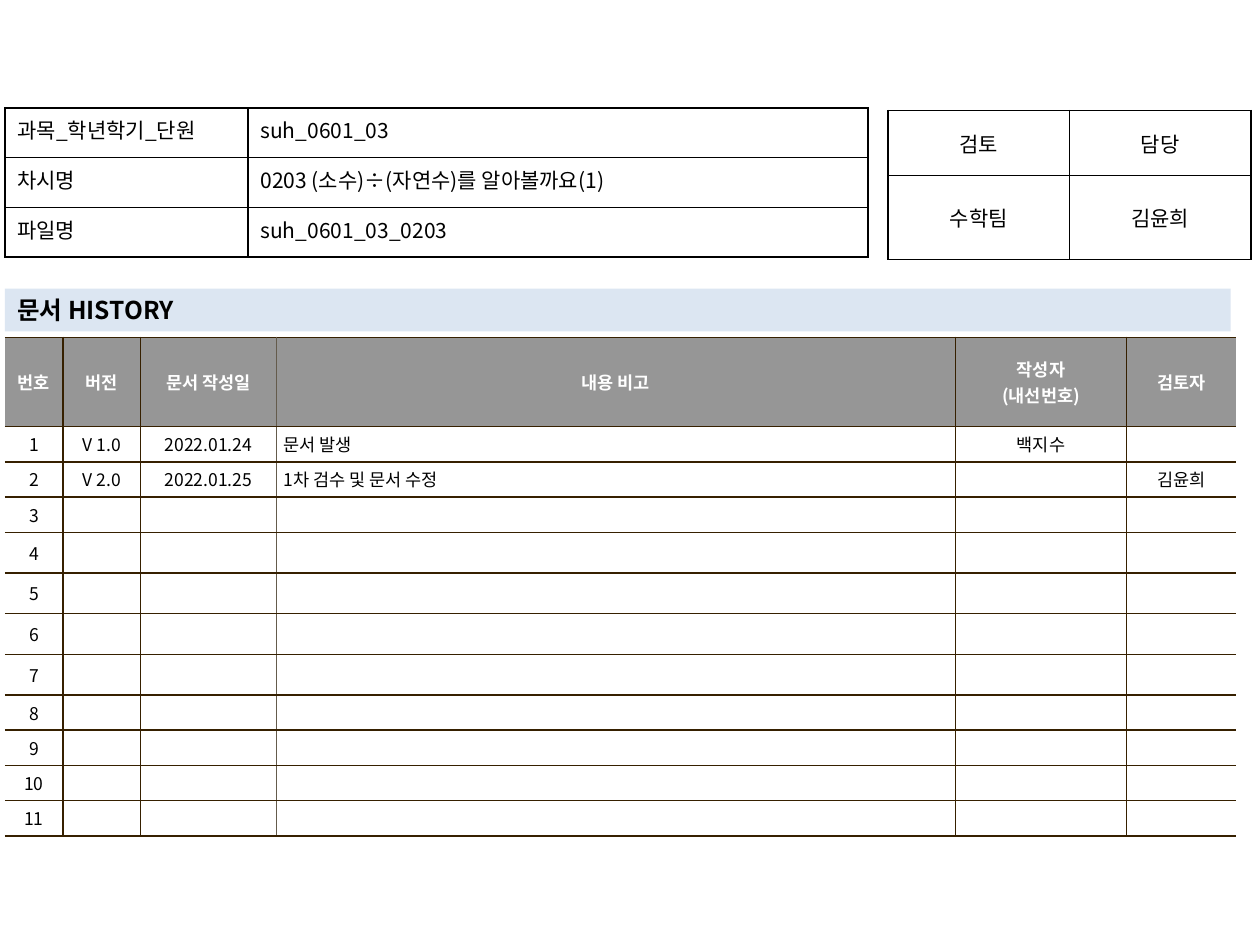
import dataclasses
import typing

import lxml.etree
import pptx
import pptx.dml.color
import pptx.enum.text
import pptx.oxml.ns
import pptx.util

Cm = pptx.util.Cm
qn = pptx.oxml.ns.qn
Align = pptx.enum.text.PP_ALIGN
Anchor = pptx.enum.text.MSO_ANCHOR

FONT = "Noto Sans CJK KR"
COLORS = {
    "black": "000000",
    "white": "FFFFFF",
    "gray": "969696",
    "blue": "DCE6F2",
    "brown": "362000",
    "taupe": "645B4C",
}


@dataclasses.dataclass
class Grid:
    left: float
    top: float
    cols: list[float]
    rows: list[float]
    texts: list[list[str]]
    aligns: list[Align]
    size: int
    line: str
    pad: tuple[float, float] = (0.25, 0.13)
    anchor: Anchor = Anchor.MIDDLE
    head: bool = False
    open: bool = False
    seam: int = 0


def rgb(name: str) -> pptx.dml.color.RGBColor:
    return pptx.dml.color.RGBColor.from_string(COLORS[name])


def style(para: typing.Any, size: int, color: str, bold: bool, align: Align) -> None:
    para.alignment = align
    font = para.font
    font.size = pptx.util.Pt(size)
    font.bold = bold
    font.name = FONT
    font.color.rgb = rgb(color)
    props = para._p.get_or_add_pPr().find(qn("a:defRPr"))
    lxml.etree.SubElement(props, qn("a:ea"), typeface=FONT)
    if not para.runs:
        lxml.etree.SubElement(para._p, qn("a:endParaRPr"), sz=str(size * 100))


def border(cell: typing.Any, lines: dict[str, str | None]) -> None:
    props = cell._tc.get_or_add_tcPr()
    for spot, (side, color) in enumerate(lines.items()):
        line = lxml.etree.Element(qn(f"a:ln{side}"), w=str(pptx.util.Pt(1)))
        if color:
            fill = lxml.etree.SubElement(line, qn("a:solidFill"))
            lxml.etree.SubElement(fill, qn("a:srgbClr"), val=COLORS[color])
        else:
            lxml.etree.SubElement(line, qn("a:noFill"))
        props.insert(spot, line)


def edge(grid: Grid, col: int) -> str | None:
    if grid.open and col in (0, len(grid.cols)):
        return None
    return "taupe" if grid.seam and col == grid.seam else grid.line


def draw(slide: typing.Any, grid: Grid) -> None:
    table = slide.shapes.add_table(
        len(grid.rows), len(grid.cols), Cm(grid.left), Cm(grid.top),
        Cm(sum(grid.cols)), Cm(sum(grid.rows)),
    ).table
    table.first_row = table.horz_banding = False
    for col, width in zip(table.columns, grid.cols):
        col.width = Cm(width)
    for row, height in zip(table.rows, grid.rows):
        row.height = Cm(height)
    for r, texts in enumerate(grid.texts):
        for c, text in enumerate(texts):
            cell = table.cell(r, c)
            top = grid.head and r == 0
            cell.text_frame.text = text
            cell.vertical_anchor = grid.anchor
            cell.margin_left = cell.margin_right = Cm(grid.pad[0])
            cell.margin_top = cell.margin_bottom = Cm(grid.pad[1])
            cell.fill.solid()
            cell.fill.fore_color.rgb = rgb("gray" if top else "white")
            border(cell, {
                "L": edge(grid, c), "R": edge(grid, c + 1),
                "T": grid.line, "B": grid.line,
            })
            for para in cell.text_frame.paragraphs:
                style(para, grid.size, "white" if top else "black", top,
                      Align.CENTER if top else grid.aligns[c])


def banner(slide: typing.Any, text: str) -> None:
    title = slide.shapes.title
    title.left, title.top = Cm(0.1), Cm(5.82)
    title.width, title.height = Cm(24.71), Cm(0.86)
    title.fill.solid()
    title.fill.fore_color.rgb = rgb("blue")
    frame = title.text_frame
    frame.text = text
    frame.word_wrap = True
    frame.auto_size = pptx.enum.text.MSO_AUTO_SIZE.NONE
    frame.vertical_anchor = Anchor.MIDDLE
    frame.margin_left = frame.margin_right = Cm(0.25)
    frame.margin_top = frame.margin_bottom = 0
    style(frame.paragraphs[0], 14, "black", True, Align.LEFT)


def main() -> None:
    deck = pptx.Presentation()
    deck.slide_width, deck.slide_height = Cm(25.4), Cm(19.05)
    slide = deck.slides.add_slide(deck.slide_layouts[5])
    banner(slide, "문서 HISTORY")

    logs = [
        ["V 1.0", "2022.01.24", "문서 발생", "백지수", ""],
        ["V 2.0", "2022.01.25", "1차 검수 및 문서 수정", "", "김윤희"],
    ]
    logs += [[""] * 5] * 9
    heads = ["번호", "버전", "문서 작성일", "내용 비고", "작성자\n(내선번호)", "검토자"]
    draw(slide, Grid(
        left=0.1, top=6.8,
        cols=[1.17, 1.56, 2.74, 13.69, 3.45, 2.2],
        rows=[1.8] + [0.71] * 3 + [0.82] * 4 + [0.71] * 4,
        texts=[heads] + [[str(n), *log] for n, log in enumerate(logs, 1)],
        aligns=[Align.CENTER] * 3 + [Align.LEFT] + [Align.CENTER] * 2,
        size=10, line="brown", pad=(0.15, 0.1), head=True, open=True, seam=3,
    ))
    draw(slide, Grid(
        left=17.9, top=2.23, cols=[3.66] * 2, rows=[1.31, 1.69],
        texts=[["검토", "담당"], ["수학팀", "김윤희"]],
        aligns=[Align.CENTER] * 2, size=12, line="black",
    ))
    draw(slide, Grid(
        left=0.1, top=2.18, cols=[4.9, 12.5], rows=[1] * 3,
        texts=[
            ["과목_학년학기_단원", "suh_0601_03"],
            ["차시명", "0203 (소수)÷(자연수)를 알아볼까요(1)"],
            ["파일명", "suh_0601_03_0203"],
        ],
        aligns=[Align.JUSTIFY, Align.LEFT], size=12, line="black",
        anchor=Anchor.TOP,
    ))
    deck.save("out.pptx")


if __name__ == "__main__":
    main()
